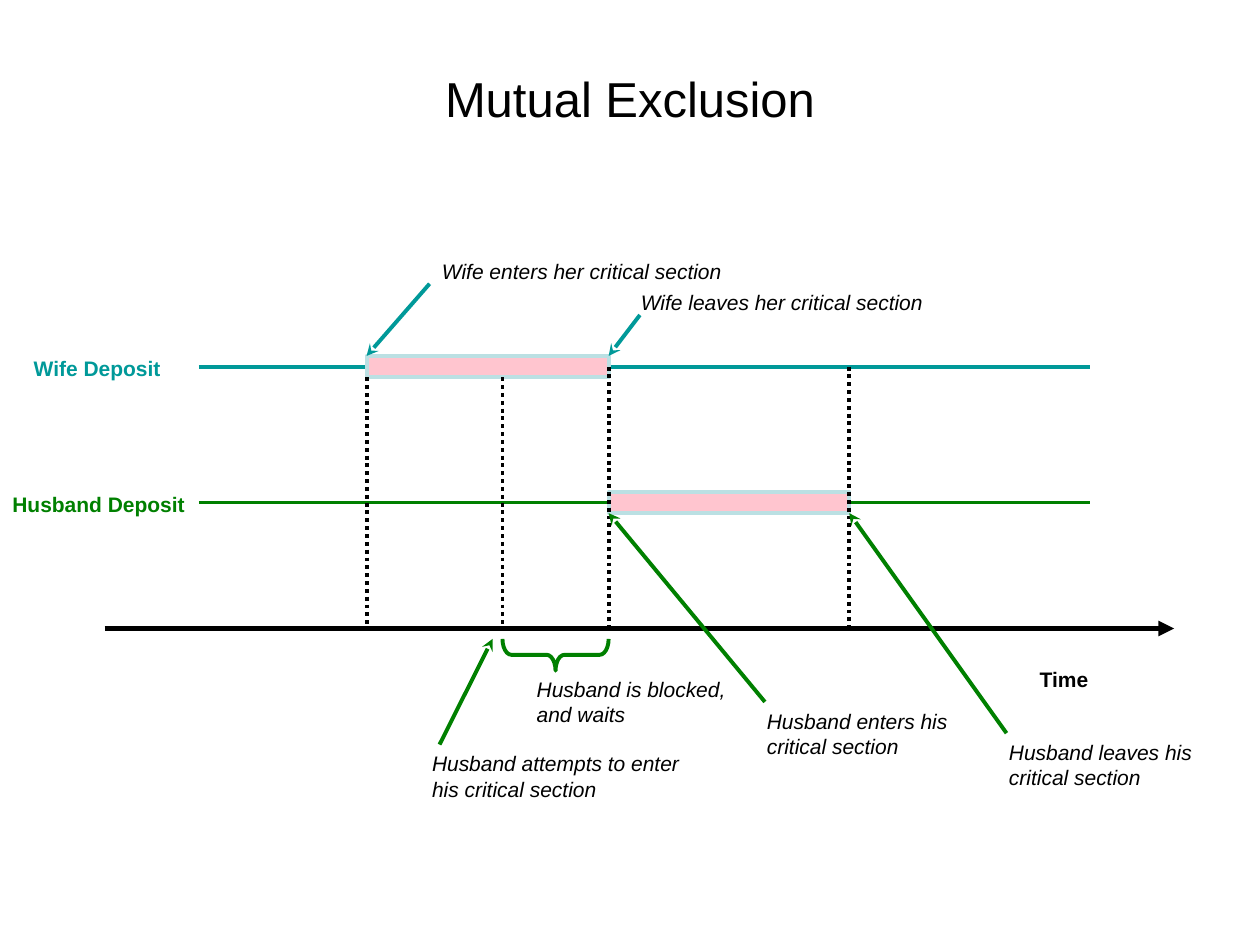
from dataclasses import dataclass

from lxml import etree
from pptx import Presentation
from pptx import util as u
from pptx.dml import color
from pptx.enum import dml, shapes, text
from pptx.oxml import ns


@dataclass(frozen=True)
class Theme:
    """Colours, face and sizes of the slide."""
    teal: str = "009999"
    green: str = "008000"
    ink: str = "000000"
    pink: str = "FFC5CF"
    pale: str = "BBE0E3"
    face: str = "Arial"
    head: int = 28
    body: int = 12
    thin: float = 2.25
    thick: float = 3


T = Theme()
MARKS = (7.39, 10.13, 12.27, 17.12)
WIFE, HUSBAND, AXIS = 7.39, 10.13, 12.67
BAR = 0.43


def cm(*vals):
    """Turn numbers into centimetre lengths."""
    return [u.Cm(v) for v in vals]


def put(thing, vals):
    """Set each named value on an object."""
    for name, val in vals.items():
        setattr(thing, name, val)


def stroke(line, tone, width=T.thin):
    """Colour a line and set its width."""
    line.fill.solid()
    line.fill.fore_color.rgb = color.RGBColor.from_string(tone)
    line.width = u.Pt(width)


def write(slide, box, words, tone=T.ink, size=T.body, align=text.PP_ALIGN.LEFT,
          anchor=text.MSO_ANCHOR.BOTTOM, **font):
    """Place one paragraph of text in a box."""
    frame = slide.shapes.add_textbox(*cm(*box)).text_frame
    put(frame, {"word_wrap": True, "vertical_anchor": anchor,
                "auto_size": text.MSO_AUTO_SIZE.NONE})
    para = frame.paragraphs[0]
    para.alignment = align
    run = para.add_run()
    run.text = words
    put(run.font, {"name": T.face, "size": u.Pt(size), **font})
    run.font.color.rgb = color.RGBColor.from_string(tone)


def rule(slide, start, end, tone, width=T.thin, dash=None, head=None, tail=None):
    """Draw a straight line with optional dash and arrowheads."""
    line = slide.shapes.add_connector(
        shapes.MSO_CONNECTOR.STRAIGHT, *cm(*start, *end))
    stroke(line.line, tone, width)
    if dash:
        line.line.dash_style = dash
    pen = line.line._get_or_add_ln()
    for tag, kind in (("a:headEnd", head), ("a:tailEnd", tail)):
        if kind:
            etree.SubElement(pen, ns.qn(tag), type=kind)
    etree.SubElement(line._element.spPr, ns.qn("a:effectLst"))
    return line


def title(slide, box):
    """Place the slide title."""
    write(slide, box, "Mutual Exclusion", size=T.head,
          align=text.PP_ALIGN.CENTER, anchor=text.MSO_ANCHOR.MIDDLE)


def lane(slide, box, name, tone):
    """Place a lane's name and its line."""
    left, top, width, high = box
    split = 4.01
    mid = top + high / 2
    write(slide, (left, top, split - left, high), name, tone, bold=True)
    rule(slide, (split, mid), (left + width, mid), tone)


def axis(slide, box):
    """Place the time arrow with its name."""
    left, top, width, high = box
    rule(slide, (left, top), (left + width, top), T.ink, T.thick, tail="triangle")
    write(slide, (left + 17.55, top + high - 0.76, 3.58, 0.76), "Time",
          align=text.PP_ALIGN.CENTER, bold=True)


def hold(slide, box):
    """Place the bar of a critical section."""
    bar = slide.shapes.add_shape(shapes.MSO_SHAPE.RECTANGLE, *cm(*box))
    bar.shadow.inherit = False
    bar.fill.solid()
    bar.fill.fore_color.rgb = color.RGBColor.from_string(T.pink)
    stroke(bar.line, T.pale)
    return bar


def drops(slide, box, bar):
    """Drop dotted lines from the wife's lane to the time axis."""
    left, top, width, high = box
    half = BAR / 2
    for mark, gap in zip(MARKS, (half, half, 0, 0)):
        line = rule(slide, (mark, top + gap), (mark, top + high), T.ink,
                    dash=dml.MSO_LINE.ROUND_DOT)
        if mark == left + width / 2:
            line.begin_connect(bar, 3)


def brace(slide, box):
    """Place a brace that opens upward and fills the box."""
    left, top, width, high = box
    shift = (width - high) / 2
    mark = slide.shapes.add_shape(
        shapes.MSO_SHAPE.LEFT_BRACE, *cm(left + shift, top - shift, high, width))
    mark.shadow.inherit = False
    mark.rotation = 270
    mark.adjustments[0] = 0.28
    mark.fill.background()
    stroke(mark.line, T.green)


def note(slide, box, words, tone=T.green, tip=None, foot=None):
    """Place a remark and an arrow from its box to the tip."""
    if tip:
        rule(slide, tip, (box[0] + foot[0], box[1] + foot[1]), tone, head="stealth")
    write(slide, box, words, italic=True)


def main():
    """Build the slide and save it."""
    deck = Presentation()
    put(deck, {"slide_width": u.Cm(25.4), "slide_height": u.Cm(19.05)})
    slide = deck.slides.add_slide(deck.slide_layouts[6])
    first, wait, swap, last = MARKS
    half = BAR / 2

    title(slide, (1.27, 0.76, 22.86, 2.41))
    lane(slide, (0.43, WIFE - 0.41, 21.54, 0.82), "Wife Deposit", T.teal)
    lane(slide, (0, HUSBAND - 0.41, 21.97, 0.82), "Husband Deposit", T.green)
    axis(slide, (2.11, AXIS, 21.56, 1.4))
    hold(slide, (swap, HUSBAND - half, last - swap, BAR))
    bar = hold(slide, (first, WIFE - half, swap - first, BAR))
    drops(slide, (first, WIFE, 2 * (swap - first), AXIS - WIFE), bar)
    brace(slide, (wait, 12.88, swap - wait, 0.64))

    over, under = WIFE - half, HUSBAND + half
    for row in (
        ((8.66, 5.08, 7.82, 0.76), "Wife enters her critical section",
         T.teal, (first, over), (0, 0.64)),
        ((12.67, 5.72, 7.82, 0.76), "Wife leaves her critical section",
         T.teal, (swap, over), (0.23, 0.63)),
        ((8.46, 15.01, 5.49, 1.27), "Husband attempts to enter his critical section",
         T.green, (9.93, 12.88), (0.4, 0)),
        ((10.57, 13.51, 4.45, 1.27), "Husband is blocked, and waits"),
        ((15.21, 14.15, 4.45, 1.27), "Husband enters his critical section",
         T.green, (swap, under), (0.21, 0)),
        ((20.09, 14.78, 4.45, 1.27), "Husband leaves his critical section",
         T.green, (last, under), (0.2, 0)),
    ):
        note(slide, *row)
    deck.save("out.pptx")


if __name__ == "__main__":
    main()
